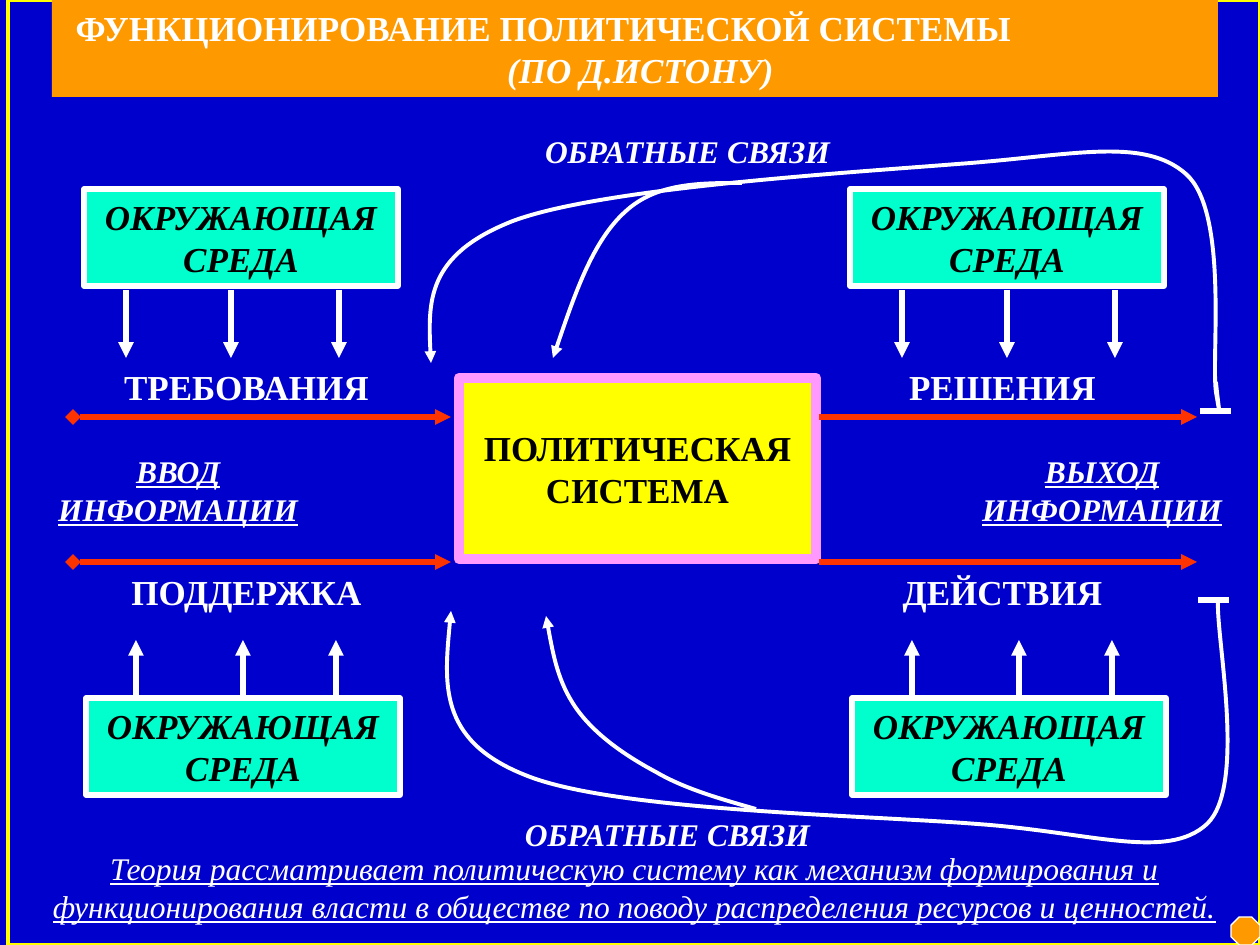
from lxml import etree
from pptx import Presentation
from pptx.dml.color import RGBColor
from pptx.enum.shapes import MSO_CONNECTOR, MSO_SHAPE
from pptx.enum.text import MSO_ANCHOR, MSO_AUTO_SIZE, PP_ALIGN
from pptx.oxml.ns import qn
from pptx.util import Pt

PX = 914400 / 126
RECT, OCTAGON = MSO_SHAPE.RECTANGLE, MSO_SHAPE.OCTAGON
STRAIGHT = MSO_CONNECTOR.STRAIGHT
LEFT, CENTER = PP_ALIGN.LEFT, PP_ALIGN.CENTER
MIDDLE, TOP = MSO_ANCHOR.MIDDLE, MSO_ANCHOR.TOP
NO_FIT = MSO_AUTO_SIZE.NONE

WHITE, BLACK, YELLOW = "FFFFFF", "000000", "FFFF00"
BLUE, ORANGE, MINT, PINK, RED = "0000CC", "FF9900", "00FFCC", "FF99FF", "FF3300"
BOLD = {"bold": True}
BOLD_ITALIC = {"bold": True, "italic": True}
LINKED = {"italic": True, "underline": True}


def px(*values):
    return [round(v * PX) for v in values]


def rgb(code):
    return RGBColor.from_string(code)


def set_line(line, color, width, head=None, tail=None):
    line.color.rgb = rgb(color)
    line.width = Pt(width)
    ln = line._get_or_add_ln()
    for tag, kind in (("a:headEnd", head), ("a:tailEnd", tail)):
        if kind:
            etree.SubElement(ln, qn(tag), type=kind)


def write(p, text, size, color, style, align=CENTER):
    p.alignment = align
    r = p.add_run()
    r.text = text
    r.font.color.rgb = rgb(color)
    for key, value in {"name": "Times New Roman", "size": Pt(size), **style}.items():
        setattr(r.font, key, value)


def add_box(s, kind, box, fill=None, line=None, width=1):
    sp = s.shapes.add_shape(kind, *px(*box))
    sp.shadow.inherit = False
    if fill:
        sp.fill.solid()
        sp.fill.fore_color.rgb = rgb(fill)
    else:
        sp.fill.background()
    set_line(sp.line, line, width)
    return sp


def fill_box(sp, text, style):
    tf = sp.text_frame
    tf.word_wrap = True
    tf.vertical_anchor = MIDDLE
    write(tf.paragraphs[0], text, 20, BLACK, style)


def add_label(s, box, text, size, style):
    tf = s.shapes.add_textbox(*px(*box)).text_frame
    tf.word_wrap = True
    tf.vertical_anchor = TOP
    write(tf.paragraphs[0], text, size, WHITE, style)


def add_straight(s, x1, y1, x2, y2, color=WHITE, head=None, tail=None):
    line = s.shapes.add_connector(STRAIGHT, *px(x1, y1, x2, y2))
    set_line(line.line, color, 3, head, tail)
    etree.SubElement(line._element.spPr, qn("a:effectLst"))
    return line


def add_curve(s, points, head=None, tail=None):
    """Cubic curve: a start point, then three points for each segment."""
    builder = s.shapes.build_freeform(*points[0], scale=PX)
    builder.add_line_segments(points[1:], close=False)
    sp = builder.convert_to_shape()
    sp.shadow.inherit = False
    sp.fill.background()
    set_line(sp.line, WHITE, 2.25, head, tail)
    # Turn each three straight steps into one Bezier segment
    steps = list(sp._element.iter(qn("a:lnTo")))
    for i in range(0, len(steps), 3):
        bezier = etree.Element(qn("a:cubicBezTo"))
        steps[i].addprevious(bezier)
        for step in steps[i:i + 3]:
            bezier.append(step[0])
            step.getparent().remove(step)


def add_frame(s, w, h):
    add_box(s, RECT, (8, 0, w - 8, h), line=YELLOW, width=2.25)
    corner = add_box(s, OCTAGON, (w - 29, h - 28, 29, 28), ORANGE, WHITE, 0.75)
    corner.adjustments[0] = 0.293


def add_title(s, box):
    title = s.shapes.title
    s.shapes._spTree.append(title._element)  # in front of the frame
    title.left, title.top, title.width, title.height = px(*box)
    title.fill.solid()
    title.fill.fore_color.rgb = rgb(ORANGE)
    tf = title.text_frame
    tf.auto_size = NO_FIT
    tf.word_wrap = True
    tf.vertical_anchor = MIDDLE
    p = tf.paragraphs[0]
    write(p, "ФУНКЦИОНИРОВАНИЕ ПОЛИТИЧЕСКОЙ СИСТЕМЫ", 20, WHITE, BOLD, LEFT)
    p._p.get_or_add_pPr().set("marL", str(px(11)[0]))
    write(tf.add_paragraph(), "(ПО Д.ИСТОНУ)", 20, WHITE, BOLD_ITALIC)


def add_environment(s, box, offsets, start, end):
    """Environment box with three arrows; offsets run from its left side."""
    x, y, w, h = box
    sp = add_box(s, RECT, box, MINT, WHITE, 3)
    fill_box(sp, "ОКРУЖАЮЩАЯ СРЕДА", BOLD_ITALIC)
    for dx in offsets:
        arrow = add_straight(s, x + dx, start, x + dx, end, tail="triangle")
        if dx == w // 2 and start == y:
            arrow.begin_connect(sp, 0)


def add_flow(s, x, arrow_x, head, labels, info, info_x):
    """One side of the system: two flows with labels and a caption between."""
    for text, label_y, arrow_y in zip(labels, (359, 564), (417, 562)):
        add_straight(s, arrow_x, arrow_y, arrow_x + 378, arrow_y, RED, head, "triangle")
        add_label(s, (x, label_y, 325, 55), text, 20, BOLD)
    add_label(s, (info_x, 446, 294, 88), info, 18, {**LINKED, "bold": True})


def add_feedback(s, label_box, bar, curves):
    for points, ends in curves:
        add_curve(s, points, **ends)
    add_label(s, label_box, "ОБРАТНЫЕ СВЯЗИ", 18, BOLD_ITALIC)
    x, y = bar
    add_straight(s, x, y, x + 31, y)


def main():
    prs = Presentation()
    prs.slide_width, prs.slide_height = px(1260, 945)
    s = prs.slides.add_slide(prs.slide_layouts[5])
    s.background.fill.solid()
    s.background.fill.fore_color.rgb = rgb(BLUE)

    add_frame(s, 1260, 945)
    add_title(s, (52, 0, 1166, 97))

    # Political system in the centre
    system = add_box(s, RECT, (459, 378, 357, 181), YELLOW, PINK, 6)
    fill_box(system, "ПОЛИТИЧЕСКАЯ СИСТЕМА", BOLD)

    # Environment above and below each side
    for column in range(2):
        x, shift = 84 + 766 * column, 10 * column
        above = [dx + shift for dx in (42, 147, 255)]
        below = [dx + shift for dx in (50, 157, 250)]
        add_environment(s, (x, 189, 314, 97), above, 290, 358)
        add_environment(s, (x + 2, 698, 314, 97), below, 698, 640)

    # Input and output
    add_flow(s, 84, 73, "diamond", ("ТРЕБОВАНИЯ", "ПОДДЕРЖКА"), "ВВОД ИНФОРМАЦИИ", 31)
    add_flow(s, 840, 819, None, ("РЕШЕНИЯ", "ДЕЙСТВИЯ"), "ВЫХОД ИНФОРМАЦИИ", 955)

    # Feedback loops
    at_start, at_end = {"head": "triangle"}, {"tail": "triangle"}
    add_feedback(s, (514, 126, 347, 50), (1200, 411), [
        ([(431, 363), (428, 309), (426, 255), (513, 221), (601, 188), (845, 173),
          (958, 164), (1070, 156), (1143, 136), (1186, 174), (1229, 212),
          (1211, 357), (1216, 392), (1222, 427), (1218, 404), (1216, 382)], at_start),
        ([(742, 183), (699, 183), (656, 183), (625, 212), (593, 241), (573, 299),
          (553, 358)], at_end)])
    add_feedback(s, (494, 809, 347, 50), (1198, 600), [
        ([(451, 611), (445, 675), (437, 740), (525, 775), (612, 811), (863, 815),
          (977, 824), (1090, 832), (1167, 861), (1207, 824), (1247, 786),
          (1216, 638), (1218, 601)], at_start),
        ([(546, 616), (552, 649), (558, 682), (576, 708), (595, 735), (626, 756),
          (656, 772), (685, 789), (721, 799), (756, 809)], at_start)])

    # Summary
    add_label(s, (31, 843, 1207, 88),
              "Теория рассматривает политическую систему как механизм формирования "
              "и функционирования власти в обществе по поводу распределения ресурсов "
              "и ценностей.", 18, LINKED)
    prs.save("out.pptx")


if __name__ == "__main__":
    main()
